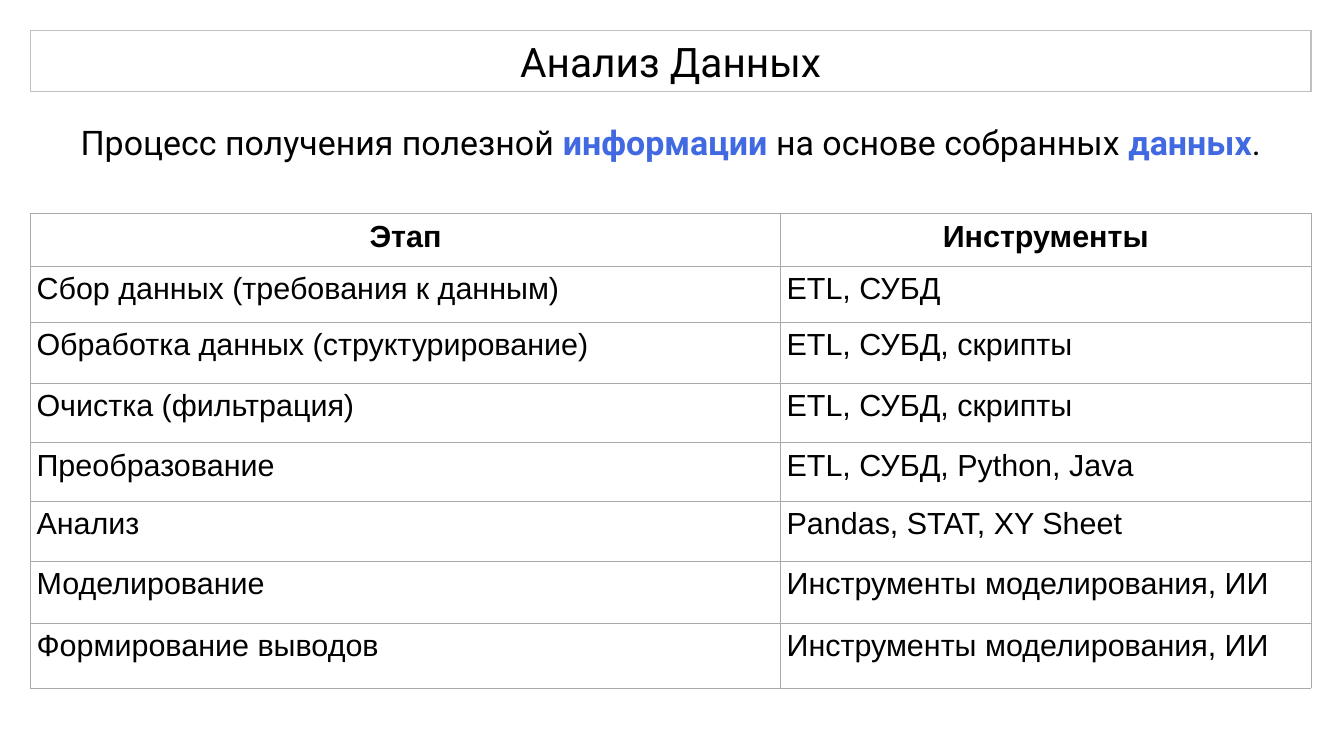
import pptx
import pptx.util
import pptx.dml.color
import pptx.enum.text
import pptx.enum.shapes
import pptx.oxml
import pptx.oxml.ns
from lxml import etree

Inches = pptx.util.Inches
Pt = pptx.util.Pt
ALIGN = pptx.enum.text.PP_ALIGN
ANCHOR = pptx.enum.text.MSO_ANCHOR

BLACK, BLUE, SILVER, GRAY = "000000", "4169E1", "C0C0C0", "A9A9A9"

TITLE = "Анализ Данных"
LEAD = [
    ("Процесс получения полезной ", False),
    ("информации", True),
    (" на основе собранных ", False),
    ("данных", True),
    (".", False),
]
STAGES = [
    ("Этап", "Инструменты"),
    ("Сбор данных (требования к данным)", "ETL, СУБД"),
    ("Обработка данных (структурирование)", "ETL, СУБД, скрипты"),
    ("Очистка (фильтрация)", "ETL, СУБД, скрипты"),
    ("Преобразование", "ETL, СУБД, Python, Java"),
    ("Анализ", "Pandas, STAT, XY Sheet"),
    ("Моделирование", "Инструменты моделирования, ИИ"),
    ("Формирование выводов", "Инструменты моделирования, ИИ"),
]
WIDTHS = [6.15, 4.35]
HEIGHTS = [0.43, 0.46, 0.5, 0.49, 0.48, 0.49, 0.51, 0.53]


def color(code):
    return pptx.dml.color.RGBColor.from_string(code)


def add_run(para, text, size, face, code=BLACK, bold=False):
    run = para.add_run()
    run.text = text
    font = run.font
    font.size, font.name, font.bold = Pt(size), face, bold
    font.color.rgb = color(code)


def set_frame(frame, anchor):
    """Wrap the text, drop the insets and return the centred paragraph."""
    frame.word_wrap = True
    frame.margin_left = frame.margin_right = 0
    frame.margin_top = frame.margin_bottom = 0
    frame.vertical_anchor = anchor
    para = frame.paragraphs[0]
    para.alignment = ALIGN.CENTER
    return para


def add_title(slide, left, top, width, height):
    kind = pptx.enum.shapes.MSO_SHAPE.RECTANGLE
    box = slide.shapes.add_shape(
        kind, Inches(left), Inches(top), Inches(width), Inches(height))
    box.shadow.inherit = False
    box.fill.background()
    box.line.color.rgb = color(SILVER)
    box.line.width = Pt(1)
    add_run(set_frame(box.text_frame, ANCHOR.MIDDLE), TITLE, 24, "Roboto")


def add_lead(slide, left, top, width, height):
    box = slide.shapes.add_textbox(
        Inches(left), Inches(top), Inches(width), Inches(height))
    para = set_frame(box.text_frame, ANCHOR.TOP)
    for text, key in LEAD:
        add_run(para, text, 20, "Roboto", BLUE if key else BLACK, key)


def add_border(cell):
    props = cell._tc.get_or_add_tcPr()
    qn = pptx.oxml.ns.qn
    for spot, side in enumerate(("lnL", "lnR", "lnT", "lnB")):
        line = etree.Element(qn("a:" + side), w=str(Pt(0.06)))
        fill = etree.SubElement(line, qn("a:solidFill"))
        etree.SubElement(fill, qn("a:srgbClr"), val=GRAY)
        props.insert(spot, line)


def fill_cell(cell, text, head):
    cell.fill.background()
    cell.margin_left = cell.margin_right = Inches(0.1 if head else 0.05)
    cell.margin_top = cell.margin_bottom = Inches(0.05)
    para = cell.text_frame.paragraphs[0]
    para.alignment = ALIGN.CENTER if head else ALIGN.LEFT
    add_run(para, text, 18, "Arial", bold=head)
    add_border(cell)


def add_stages(slide, left, top, width, height):
    frame = slide.shapes.add_table(
        len(STAGES), len(WIDTHS),
        Inches(left), Inches(top), Inches(width), Inches(height))
    table = frame.table
    table.horz_banding = False
    for col, size in zip(table.columns, WIDTHS):
        col.width = Inches(size)
    for row, size in zip(table.rows, HEIGHTS):
        row.height = Inches(size)
    for r, texts in enumerate(STAGES):
        for c, text in enumerate(texts):
            fill_cell(table.cell(r, c), text, r == 0)


def main():
    deck = pptx.Presentation()
    deck.slide_width, deck.slide_height = Inches(11.02), Inches(6.2)
    slide = deck.slides.add_slide(deck.slide_layouts[6])
    left, width = 0.25, 10.5
    add_title(slide, left, 0.25, width, 0.5)
    add_lead(slide, left, 1, width, 0.5)
    add_stages(slide, left, 1.75, width, sum(HEIGHTS))
    deck.save("out.pptx")


if __name__ == "__main__":
    main()
